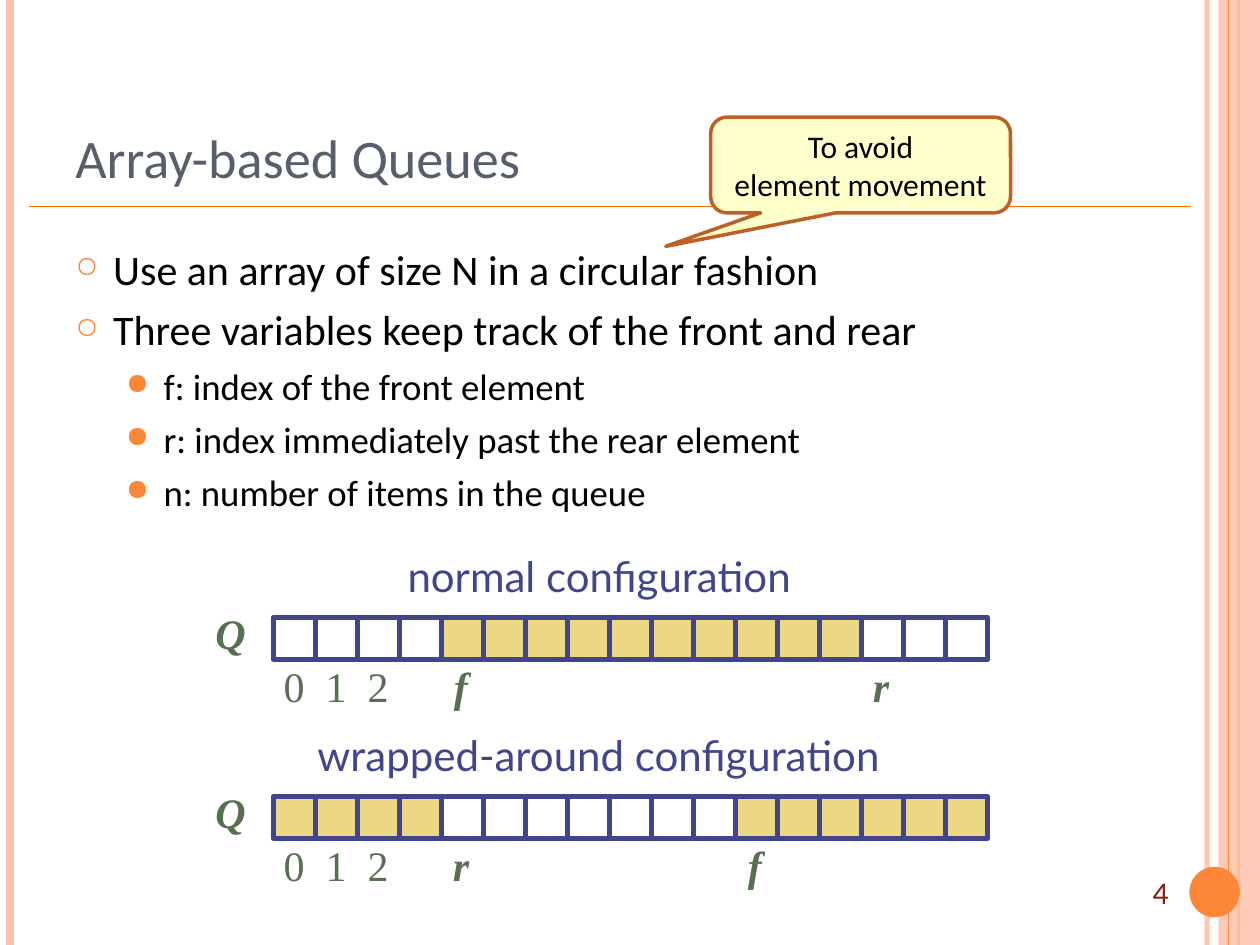
from lxml import etree
from pptx import Presentation
from pptx.dml.color import RGBColor
from pptx.enum import shapes, text
from pptx.oxml import ns
from pptx.util import Inches, Pt


def color(value):
    return RGBColor.from_string(value)


def add_text(container, box, content, size, font, fill, align="LEFT", inset=0.1, bold=False):
    shape = container.add_textbox(*map(Inches, box))
    frame = shape.text_frame
    frame.word_wrap = True
    frame.margin_left = frame.margin_right = Inches(inset)
    frame.margin_top = frame.margin_bottom = Inches(inset / 2)
    paragraph = frame.paragraphs[0]
    paragraph.alignment = getattr(text.PP_ALIGN, align)
    run = paragraph.add_run()
    run.text = content
    run.font.size = Pt(size)
    run.font.name = font
    run.font.bold = run.font.italic = bold
    run.font.color.rgb = color(fill)
    return frame


presentation = Presentation()
presentation.slide_width = Inches(10)
presentation.slide_height = Inches(7.5)
slide = presentation.slides.add_slide(presentation.slide_layouts[6])

rules = [
    (9.58, 0, 9.58, 7.5, "FEC3AE", 3),
    (0.08, 0, 0.08, 7.5, "FEC3AE", 4.5),
    (9.83, 0, 9.83, 7.5, "FE8637", 1.5),
    (9.75, 0, 9.75, 7.5, "FE8637", 0.75),
    (0.23, 1.64, 9.45, 1.64, "FF6903", 1),
]
decorations = [
    (shapes.MSO_SHAPE.RECTANGLE, (9.67, 0, 0.33, 7.5), "FEC3AE", 87),
    (shapes.MSO_SHAPE.OVAL, (9.44, 6.88, 0.4, 0.4), "FE8637", 100),
]
rule_shapes = []
for x1, y1, x2, y2, stroke, width in rules:
    rule = slide.shapes.add_connector(
        shapes.MSO_CONNECTOR.STRAIGHT, Inches(x1), Inches(y1), Inches(x2), Inches(y2))
    rule.line.color.rgb = color(stroke)
    rule.line.width = Pt(width)
    etree.SubElement(rule._element.spPr, ns.qn("a:effectLst"))
    rule_shapes.append(rule)
for kind, box, fill, opacity in decorations:
    shape = slide.shapes.add_shape(kind, *map(Inches, box))
    shape.shadow.inherit = False
    shape.fill.solid()
    shape.fill.fore_color.rgb = color(fill)
    shape.line.fill.background()
    if opacity < 100:
        srgb = shape._element.spPr.find(".//" + ns.qn("a:srgbClr"))
        etree.SubElement(srgb, ns.qn("a:alpha"), val=str(opacity * 1000))
        rule_shapes[3]._element.addprevious(shape._element)
srgb = rule_shapes[0]._element.spPr.find(".//" + ns.qn("a:srgbClr"))
etree.SubElement(srgb, ns.qn("a:alpha"), val="93000")

add_text(slide.shapes, (9.05, 6.88, 1.25, 0.41), "4", 18, "Calibri", "862110")
title = add_text(slide.shapes, (0.5, 0.3, 8.64, 1.25), "Array-based Queues", 31, "Calibri", "575F6D")
title.vertical_anchor = text.MSO_ANCHOR.BOTTOM

points = [
    (0, "Use an array of size N in a circular fashion"),
    (0, "Three variables keep track of the front and rear"),
    (1, "f: index of the front element"),
    (1, "r: index immediately past the rear element"),
    (1, "n: number of items in the queue"),
]
levels = [(0.3, "○", 70, 24, 6), (0.7, "●", 80, 21, 5.2)]
body = slide.shapes.add_textbox(Inches(0.5), Inches(1.88), Inches(8.17), Inches(5.2)).text_frame
body.word_wrap = True
for index, (level, content) in enumerate(points):
    margin, bullet, scale, size, space = levels[level]
    paragraph = body.add_paragraph() if index else body.paragraphs[0]
    paragraph.level = level
    if index:
        paragraph.space_before = Pt(space)
    properties = paragraph._p.get_or_add_pPr()
    properties.set("marL", str(Inches(margin)))
    properties.set("indent", str(Inches(-0.3)))
    bullet_color = etree.SubElement(properties, ns.qn("a:buClr"))
    etree.SubElement(bullet_color, ns.qn("a:srgbClr"), val="FE8637")
    etree.SubElement(properties, ns.qn("a:buSzPct"), val=str(scale * 1000))
    etree.SubElement(properties, ns.qn("a:buChar"), char=bullet)
    run = paragraph.add_run()
    run.text = content
    run.font.size = Pt(size)
    run.font.name = "Calibri"
    run.font.color.rgb = color("000000")

cell = 1 / 3
array_left = 2.17
queues = [
    ("normal configuration", (2.99, 3.53), 4.9, range(4, 14), {"r": 14, "f": 4}),
    ("wrapped-around configuration", (2.23, 5.04), 6.32, [*range(4), *range(11, 17)], {"f": 11, "r": 4}),
]
for caption, (left, width), top, filled, markers in queues:
    array = slide.shapes.add_group_shape().shapes
    label_style = (24, "Times New Roman", "577052", "CENTER", 0)
    add_text(array, (1.67, top - 0.08, 0.32, 0.4), "Q", *label_style, bold=True)
    for index in range(3):
        add_text(array, (array_left + 0.08 + index * cell, top + 0.34, 0.17, 0.4), str(index), *label_style)
    for name, index in markers.items():
        add_text(array, (array_left + index * cell, top + 0.34, 0.31, 0.4), name, *label_style, bold=True)
    for index in range(17):
        slot = array.add_shape(
            shapes.MSO_SHAPE.RECTANGLE, Inches(array_left + index * cell), Inches(top), Inches(cell), Inches(cell))
        slot.shadow.inherit = False
        slot.fill.solid()
        slot.fill.fore_color.rgb = color("ECD882" if index in filled else "FFFFFF")
        slot.line.color.rgb = color("40458C")
        slot.line.width = Pt(3)
    add_text(slide.shapes, (left, top - 0.58, width, 0.5), caption, 24, "Lato", "40458C", "CENTER")

callout = slide.shapes.add_shape(
    shapes.MSO_SHAPE.ROUNDED_RECTANGULAR_CALLOUT, Inches(5.64), Inches(0.93), Inches(2.38), Inches(0.76))
callout.shadow.inherit = False
for index, value in enumerate((-0.65, 0.85, 0.17)):
    callout.adjustments[index] = value
callout.fill.solid()
callout.fill.fore_color.rgb = color("FFFFCC")
callout.line.color.rgb = color("BB6126")
callout.line.width = Pt(2)
frame = callout.text_frame
frame.word_wrap = True
frame.vertical_anchor = text.MSO_ANCHOR.MIDDLE
for index, content in enumerate(("To avoid", "element movement")):
    paragraph = frame.add_paragraph() if index else frame.paragraphs[0]
    paragraph.alignment = text.PP_ALIGN.CENTER
    run = paragraph.add_run()
    run.text = content
    run.font.size = Pt(18)
    run.font.name = "Calibri"
    run.font.color.rgb = color("000000")

presentation.save("out.pptx")
